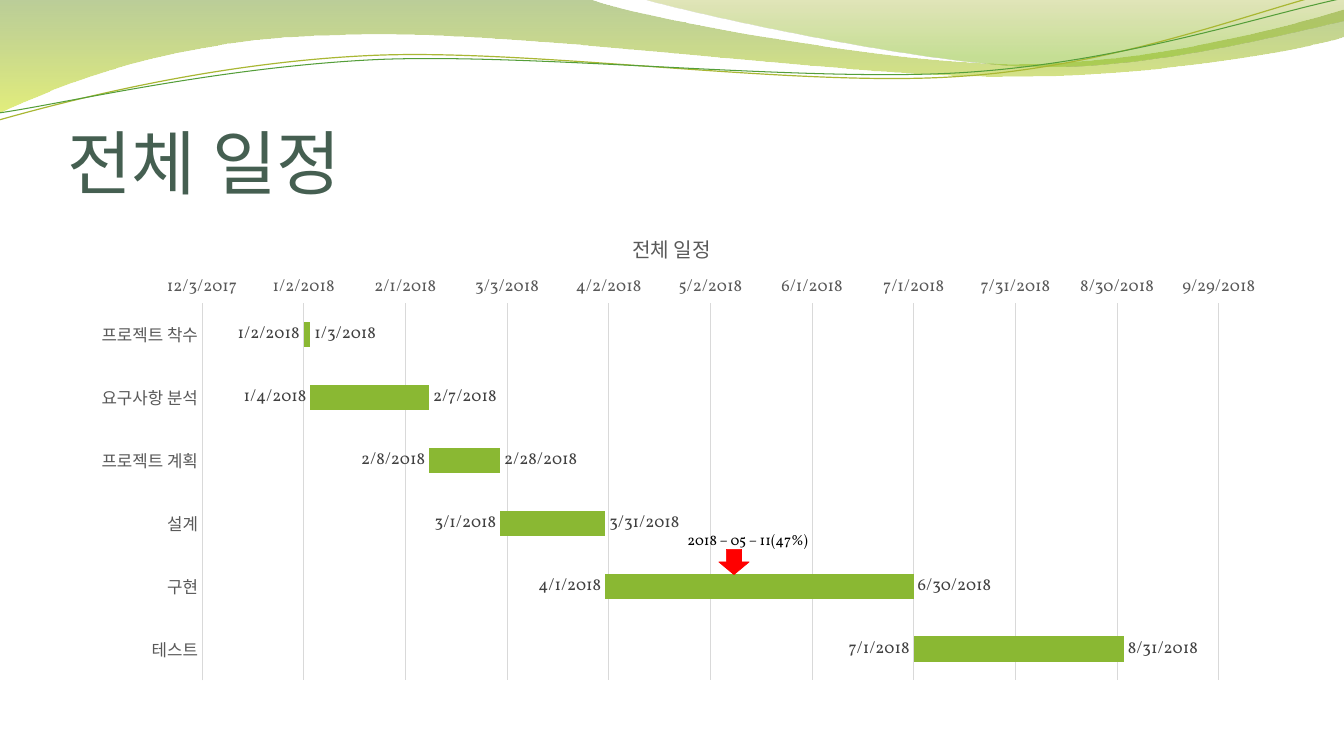
from math import cos, radians, sin

from lxml import etree
from pptx import Presentation
from pptx.chart.data import CategoryChartData
from pptx.dml.color import RGBColor
from pptx.enum.chart import XL_CHART_TYPE as ChartType
from pptx.enum.chart import XL_LABEL_POSITION as LabelPosition
from pptx.enum.chart import XL_TICK_MARK as TickMark
from pptx.enum.shapes import MSO_SHAPE as Shape
from pptx.enum.text import MSO_ANCHOR as Anchor
from pptx.enum.text import MSO_AUTO_SIZE as AutoSize
from pptx.enum.text import PP_ALIGN as Align
from pptx.oxml import parse_xml
from pptx.oxml.ns import nsdecls, qn
from pptx.util import Inches, Pt

COLORS = {
    "title": "455F51", "axis": "595959", "label": "404040", "grid": "D9D9D9",
    "bar": "8AB833", "marker": "FF0000", "text": "000000",
    "olive_line": "A9B733", "green_line": "549E39",
    "moss": "69921C", "lime": "CCE10F", "khaki": "9BAA1A", "leaf": "81BA16",
}
HANGUL_FONT = "Noto Sans CJK KR"
LATIN_FONT = "Vollkorn"
DATE_FORMAT = "m/d/yyyy"
STRAND_TILT = -2.7

# Task, first day and last day, as spreadsheet date serials
TASKS = [
    ("프로젝트 착수", 43102, 43103),
    ("요구사항 분석", 43104, 43138),
    ("프로젝트 계획", 43139, 43159),
    ("설계", 43160, 43190),
    ("구현", 43191, 43281),
    ("테스트", 43282, 43343),
]

# Waves: a start point, then segments of one point (line) or three (Bezier curve)
BROAD_WAVE = [
    [(0, 0)], [(5.87, 0)],
    [(6.34, 0.18), (8.84, 0.64), (10.11, 0.64)],
    [(11.37, 0.64), (12.77, 0.27), (13.33, 0.1)], [(13.34, 0.37)],
    [(13.11, 0.45), (11.59, 0.77), (9.94, 0.76)],
    [(8.29, 0.76), (5.09, 0.29), (3.43, 0.35)],
    [(1.72, 0.37), (0.61, 0.84), (-0.02, 1.13)],
]
RIGHT_WAVE = [
    [(6.38, 0)],
    [(6.79, 0.12), (9.09, 0.63), (10.25, 0.66)],
    [(11.4, 0.69), (12.82, 0.32), (13.33, 0.21)], [(13.33, 0)],
]
OLIVE_STRAND = [
    [(-0.01, 1.19)],
    [(0.63, 1.01), (2.1, 0.62), (3.69, 0.55)],
    [(5.27, 0.48), (7.89, 0.87), (9.49, 0.76)],
    [(11.1, 0.66), (12.51, 0.08), (13.3, -0.1)],
]
GREEN_STRAND = [
    [(-0.01, 1.12)],
    [(0.62, 1.03), (2.18, 0.66), (3.77, 0.59)],
    [(5.37, 0.53), (7.96, 0.82), (9.55, 0.72)],
    [(11.14, 0.62), (12.55, 0.14), (13.33, -0.02)],
]


def color(name):
    return RGBColor.from_string(COLORS[name])


def style_font(font, size, color_name, name=LATIN_FONT):
    font.size = Pt(size)
    font.name = name
    font.color.rgb = color(color_name)


def add_curve(page, outline, close):
    """Add a freeform, turning each three-point segment into a Bezier curve."""
    start, *points = [(Inches(x), Inches(y)) for segment in outline for x, y in segment]
    builder = page.shapes.build_freeform(*start)
    builder.add_line_segments(points, close=close)
    curve = builder.convert_to_shape()
    curve.shadow.inherit = False
    steps = iter(list(curve.element.iter(qn("a:lnTo"))))
    for segment in outline[1:]:
        first, *others = [next(steps) for _ in segment]
        if others:
            first.tag = qn("a:cubicBezTo")
        for step in others:
            first.append(step[0])
            step.getparent().remove(step)
    return curve


def add_wave(page, outline, stops):
    """Add a translucent wave; each stop is (position, colour name, opacity %)."""
    wave = add_curve(page, outline, True)
    wave.line.fill.background()
    wave.fill.gradient()
    wave.fill.gradient_angle = 270
    for stop, (position, name, _) in zip(wave.fill.gradient_stops, stops):
        stop.position = position
        stop.color.rgb = color(name)
    swatches = wave.element.spPr.iter(qn("a:srgbClr"))
    for swatch, (_, _, opacity) in zip(swatches, stops):
        etree.SubElement(swatch, qn("a:alpha")).set("val", str(opacity * 1000))


def turn(point, center, degrees):
    x, y = point[0] - center[0], point[1] - center[1]
    c, s = cos(radians(degrees)), sin(radians(degrees))
    return center[0] + x * c - y * s, center[1] + x * s + y * c


def add_strand(page, outline, center, color_name, width):
    """Add a thin curve, drawn level and then tilted about its centre."""
    level = [[turn(point, center, -STRAND_TILT) for point in segment]
             for segment in outline]
    strand = add_curve(page, level, False)
    strand.rotation = STRAND_TILT
    strand.left = Inches(center[0]) - strand.width // 2
    strand.fill.background()
    strand.line.color.rgb = color(color_name)
    strand.line.width = Pt(width)


def set_title(page, text):
    title = page.shapes.title
    title.left, title.top = Inches(0.67), Inches(0.77)
    title.width, title.height = Inches(12), Inches(1.25)
    frame = title.text_frame
    frame.text = text
    frame.vertical_anchor = Anchor.BOTTOM
    frame.margin_left = frame.margin_right = frame.margin_bottom = 0
    para = frame.paragraphs[0]
    para.alignment = Align.LEFT
    span = para.runs[0]
    style_font(span.font, 50, "title", HANGUL_FONT)
    properties = span._r.get_or_add_rPr()
    properties.set("kern", "0")
    etree.SubElement(properties, qn("a:ea")).set("typeface", HANGUL_FONT)


def place_plot(chart, x, y, w, h):
    """Fix the inner plot area, in fractions of the chart."""
    area = chart.element.find(".//" + qn("c:plotArea"))
    for old in area.findall(qn("c:layout")):
        area.remove(old)
    area.insert(0, parse_xml(
        f'<c:layout {nsdecls("c")}><c:manualLayout><c:layoutTarget val="inner"/>'
        '<c:xMode val="edge"/><c:yMode val="edge"/>'
        f'<c:x val="{x}"/><c:y val="{y}"/><c:w val="{w}"/><c:h val="{h}"/>'
        '</c:manualLayout></c:layout>'))


def style_axis(axis):
    axis.major_tick_mark = axis.minor_tick_mark = TickMark.NONE
    style_font(axis.tick_labels.font, 12, "axis")


def label_dates(series, position):
    """Hide the bars of a series and show only their dates."""
    series.format.fill.background()
    labels = series.data_labels
    labels.show_value = True
    labels.position = position
    labels.number_format = DATE_FORMAT
    labels.number_format_is_linked = False
    style_font(labels.font, 12, "label")


def add_gantt(page, title):
    names, starts, ends = zip(*TASKS)
    data = CategoryChartData()
    data.categories = names
    data.add_series("Series 1", starts)
    data.add_series("Series 2", [end - start + 1 for start, end in zip(starts, ends)])
    data.add_series("Series 3", ends)
    chart = page.shapes.add_chart(ChartType.BAR_STACKED, Inches(0.66), Inches(2.12),
                                  Inches(12), Inches(4.8), data).chart
    style_font(chart.font, 12, "text")
    chart.has_legend = False
    chart.chart_title.text_frame.text = title
    heading = chart.chart_title.text_frame.paragraphs[0].font
    style_font(heading, 14.4, "axis")
    heading.bold = False
    place_plot(chart, 0.112, 0.185, 0.846, 0.78)

    plot = chart.plots[0]
    plot.gap_width, plot.overlap = 150, 100
    plot.vary_by_categories = False
    first_days, durations, last_days = plot.series
    label_dates(first_days, LabelPosition.INSIDE_END)
    label_dates(last_days, LabelPosition.INSIDE_BASE)
    durations.format.fill.solid()
    durations.format.fill.fore_color.rgb = color("bar")

    tasks, dates = chart.category_axis, chart.value_axis
    style_axis(tasks)
    style_axis(dates)
    tasks.reverse_order = True
    dates.minimum_scale, dates.maximum_scale, dates.major_unit = 43072, 43374, 30
    dates.tick_labels.number_format = DATE_FORMAT
    dates.tick_labels.number_format_is_linked = False
    dates.format.line.fill.background()
    for line in (tasks.format.line, dates.major_gridlines.format.line):
        line.color.rgb = color("grid")
        line.width = Pt(0.75)


def add_progress_marker(page, text):
    arrow = page.shapes.add_shape(Shape.DOWN_ARROW, Inches(7.13), Inches(5.45),
                                  Inches(0.3), Inches(0.25))
    arrow.shadow.inherit = False
    arrow.fill.solid()
    arrow.fill.fore_color.rgb = arrow.line.color.rgb = color("marker")
    arrow.line.width = Pt(0.5)
    box = page.shapes.add_textbox(Inches(6.72), Inches(5.22), Inches(1.46), Inches(0.28))
    frame = box.text_frame
    frame.word_wrap = False
    frame.auto_size = AutoSize.SHAPE_TO_FIT_TEXT
    frame.text = text
    style_font(frame.paragraphs[0].font, 10.5, "text")


def main():
    deck = Presentation()
    deck.slide_width, deck.slide_height = Inches(13.33), Inches(7.5)
    page = deck.slides.add_slide(deck.slide_layouts[5])
    add_wave(page, BROAD_WAVE, [(0, "moss", 45), (1, "lime", 55)])
    add_wave(page, RIGHT_WAVE, [(0, "khaki", 30), (0.8, "leaf", 45)])
    add_strand(page, OLIVE_STRAND, (6.65, 0.58), "olive_line", 0.85)
    add_strand(page, GREEN_STRAND, (6.67, 0.59), "green_line", 0.75)
    set_title(page, "전체 일정")
    add_gantt(page, "전체 일정")
    add_progress_marker(page, "2018 – 05 – 11(47%)")
    deck.save("out.pptx")


if __name__ == "__main__":
    main()
